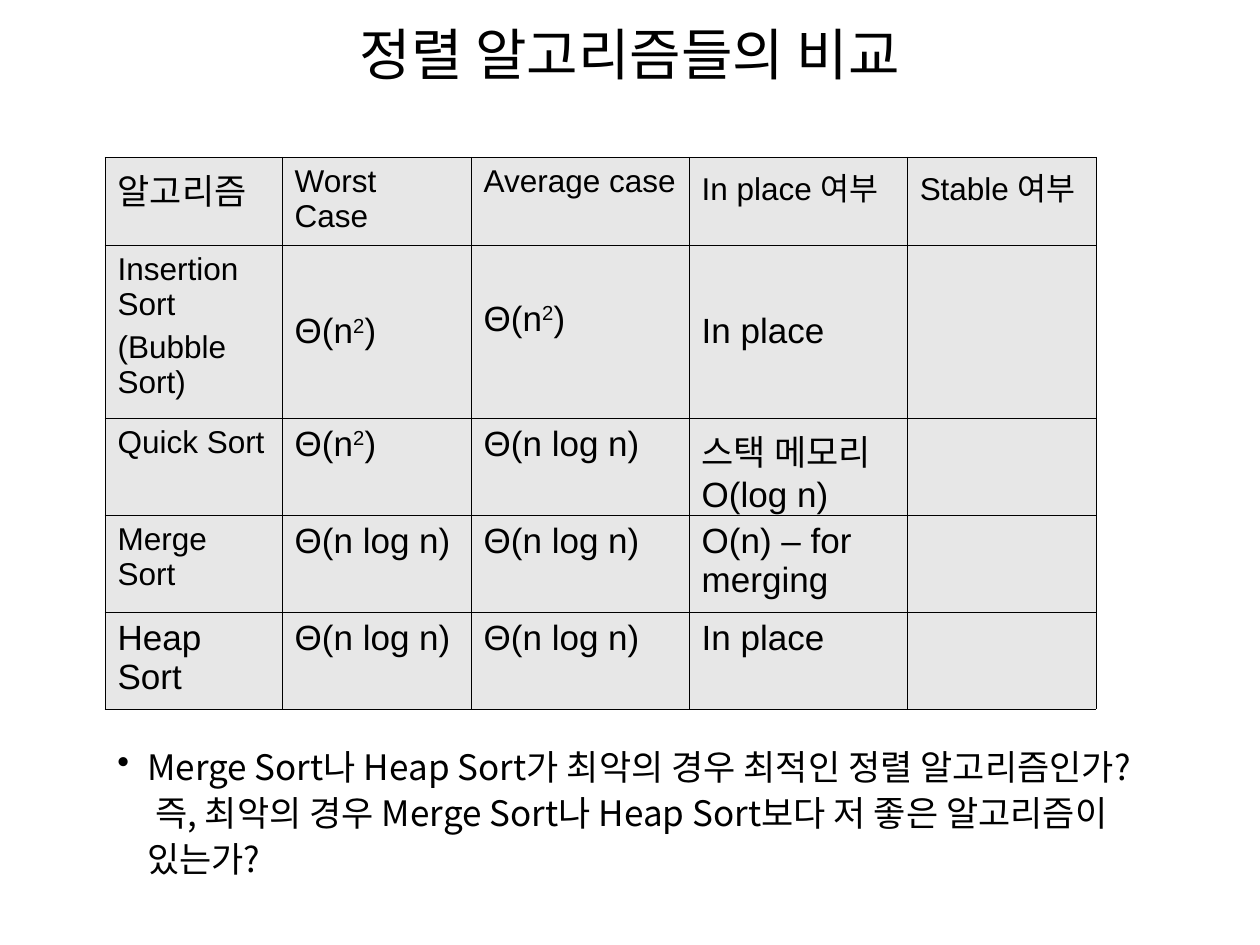
from dataclasses import dataclass

from lxml.etree import SubElement
from pptx import Presentation
from pptx.dml.color import RGBColor
from pptx.enum.text import MSO_ANCHOR, MSO_AUTO_SIZE, PP_ALIGN as Align
from pptx.oxml.ns import qn
from pptx.util import Pt


@dataclass(frozen=True)
class Theme:
    ink: RGBColor = RGBColor(0x00, 0x00, 0x00)
    cell_fill: RGBColor = RGBColor(0xE7, 0xE7, 0xE7)
    latin: str = "Arial"
    korean: str = "Noto Sans CJK KR"
    title_size: float = 32
    body_size: float = 20
    label_size: float = 18
    border: float = 0.45


@dataclass(frozen=True)
class Entry:
    """A table cell; the mark ^ stands before a superscript character."""
    text: str
    size: float = Theme.body_size
    justified: bool = False
    top: float = 3.6


THEME = Theme()


def label(text: str, justified: bool = True) -> Entry:
    return Entry(text, THEME.label_size, justified)


EMPTY = Entry("")
SQUARE = "Θ(n^2)"
N_LOG_N = Entry("Θ(n log n)")
ROWS = [
    [Entry("알고리즘"), label("Worst Case"), label("Average case", False),
     label("In place 여부", False), label("Stable 여부", False)],
    [label("Insertion Sort\n(Bubble Sort)"), Entry(SQUARE, top=38),
     Entry(SQUARE, top=31), Entry("In place", top=38), EMPTY],
    [label("Quick Sort"), Entry(SQUARE), N_LOG_N,
     Entry("스택 메모리O(log n)"), EMPTY],
    [label("Merge Sort"), N_LOG_N, N_LOG_N, Entry("O(n) – for merging"), EMPTY],
    [Entry("Heap Sort"), N_LOG_N, N_LOG_N, Entry("In place"), EMPTY],
]
COLUMN_WIDTHS = [101.2, 108, 124.6, 124.6, 108]
ROW_HEIGHTS = [50.4, 98.8, 55.4, 55.4, 55.4]


def style_font(para, size: float, latin: str) -> None:
    font = para.font
    font.size, font.name = Pt(size), latin
    font.color.rgb = THEME.ink
    for span in para.runs:
        span.font.language_id = None
        properties = span._r.get_or_add_rPr()
        SubElement(properties, qn("a:ea"), typeface=THEME.korean)


def write_spans(para, text: str) -> None:
    base, mark, rest = text.partition("^")
    para.add_run().text = base
    if mark:
        raised = para.add_run()
        raised.text = rest[0]
        raised.font._element.set("baseline", "30000")
        para.add_run().text = rest[1:]


def draw_borders(cell) -> None:
    properties = cell._tc.get_or_add_tcPr()
    for position, side in enumerate(("lnL", "lnR", "lnT", "lnB")):
        line = SubElement(properties, qn(f"a:{side}"), w=str(Pt(THEME.border)))
        fill = SubElement(line, qn("a:solidFill"))
        SubElement(fill, qn("a:srgbClr"), val=str(THEME.ink))
        properties.insert(position, line)


def fill_cell(cell, entry: Entry) -> None:
    cell.fill.solid()
    cell.fill.fore_color.rgb = THEME.cell_fill
    cell.margin_left = cell.margin_right = Pt(7.2)
    cell.margin_top, cell.margin_bottom = Pt(entry.top), Pt(3.6)
    draw_borders(cell)
    if not entry.text:
        return
    frame = cell.text_frame
    for number, text in enumerate(entry.text.split("\n")):
        para = frame.add_paragraph() if number else frame.paragraphs[0]
        write_spans(para, text)
        para.alignment = Align.JUSTIFY if entry.justified else Align.LEFT
        if number:
            para.space_before = Pt(4.5)
        style_font(para, entry.size, THEME.latin)


def add_comparison_table(page) -> None:
    frame = page.shapes.add_table(
        len(ROWS), len(COLUMN_WIDTHS), Pt(60), Pt(89.8),
        Pt(sum(COLUMN_WIDTHS)), Pt(sum(ROW_HEIGHTS)))
    table = frame.table
    table.first_row = table.horz_banding = False
    for column, width in zip(table.columns, COLUMN_WIDTHS):
        column.width = Pt(width)
    for row, height, entries in zip(table.rows, ROW_HEIGHTS, ROWS):
        row.height = Pt(height)
        for cell, entry in zip(row.cells, entries):
            fill_cell(cell, entry)


def add_text(page, text: str, left: float, top: float, width: float, height: float):
    box = page.shapes.add_textbox(Pt(left), Pt(top), Pt(width), Pt(height))
    frame = box.text_frame
    frame.word_wrap = True
    para = frame.paragraphs[0]
    para.add_run().text = text
    return frame, para


def add_title(page) -> None:
    frame, para = add_text(page, "정렬 알고리즘들의 비교", 54, 0, 612, 60.5)
    frame.vertical_anchor = MSO_ANCHOR.MIDDLE
    para.alignment = Align.CENTER
    style_font(para, THEME.title_size, THEME.korean)


def add_question(page) -> None:
    frame, para = add_text(
        page,
        "Merge Sort나 Heap Sort가 최악의 경우 최적인 정렬 알고리즘인가? "
        "즉, 최악의 경우 Merge Sort나 Heap Sort보다 저 좋은 알고리즘이 있는가?",
        60, 419.8, 589.7, 86.4)
    frame.auto_size = MSO_AUTO_SIZE.SHAPE_TO_FIT_TEXT
    para.line_spacing = 1.1
    properties = para._p.get_or_add_pPr()
    properties.set("marL", str(Pt(17)))
    properties.set("indent", str(Pt(-17)))
    SubElement(properties, qn("a:buChar"), char="•")
    style_font(para, THEME.body_size, THEME.korean)


def main() -> None:
    deck = Presentation()
    deck.slide_width, deck.slide_height = Pt(720), Pt(540)
    page = deck.slides.add_slide(deck.slide_layouts[6])
    add_title(page)
    add_comparison_table(page)
    add_question(page)
    deck.save("out.pptx")


if __name__ == "__main__":
    main()
